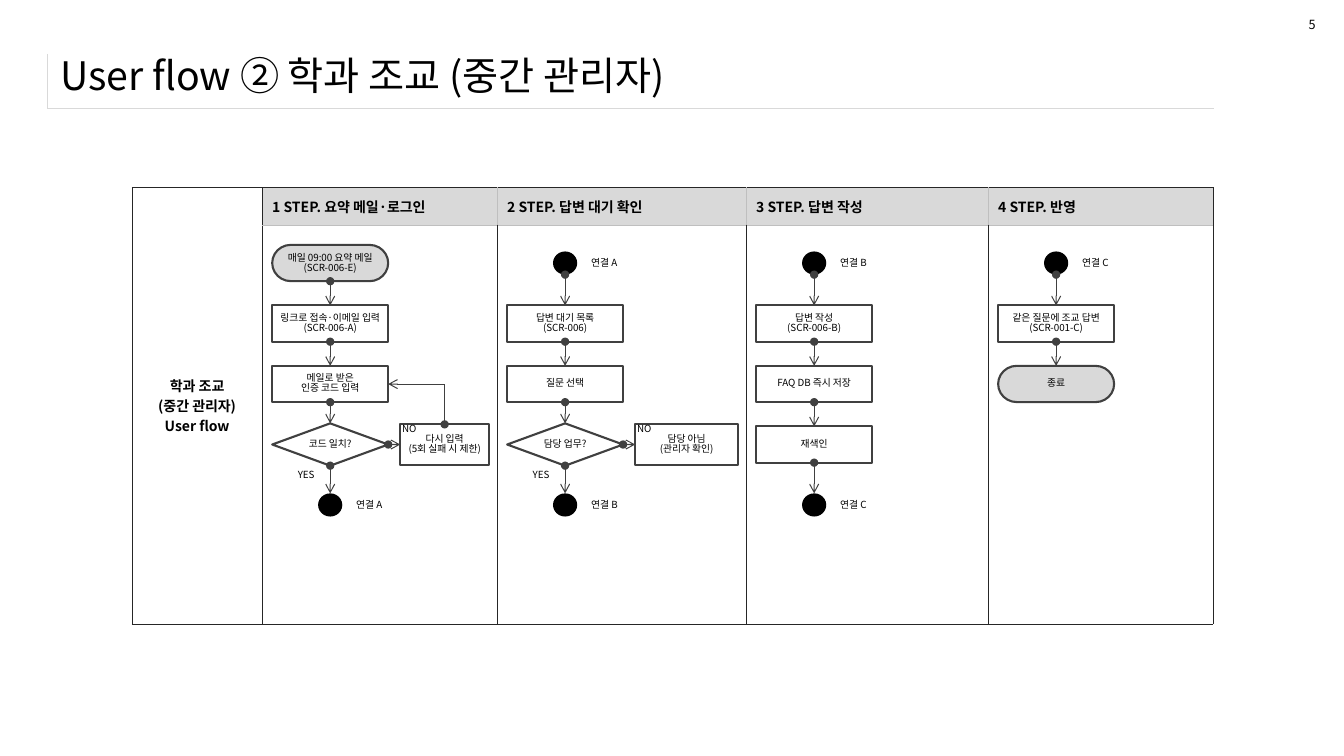
from lxml.etree import SubElement
from pptx import Presentation
from pptx.dml.color import RGBColor
from pptx.enum.shapes import MSO_CONNECTOR, MSO_SHAPE
from pptx.enum.text import MSO_ANCHOR, MSO_AUTO_SIZE, PP_ALIGN
from pptx.oxml.ns import qn
from pptx.util import Inches, Pt

FONT = "Noto Sans CJK KR"
BLACK = RGBColor(0x00, 0x00, 0x00)
WHITE = RGBColor(0xFF, 0xFF, 0xFF)
LIGHT_GRAY = RGBColor(0xD9, 0xD9, 0xD9)
BORDER_GRAY = RGBColor(0xBF, 0xBF, 0xBF)
BORDER_DARK = RGBColor(0x26, 0x26, 0x26)
OUTLINE = RGBColor(0x40, 0x40, 0x40)

TOP, LEFT, BOTTOM, RIGHT = range(4)
COLUMN_WIDTHS = [1.29, 2.33, 2.47, 2.4, 2.23]
ROW_HEIGHTS = [0.37, 3.96]
NODE_WIDTH, NODE_HEIGHT, NODE_STEP = 1.15, 0.36, 0.6
DECISION_HEIGHT = 0.42
DOT_WIDTH, DOT_HEIGHT = 0.24, 0.23

# Each lane: heading, then steps as (kind, text)
LANES = [
    ("1 STEP. 요약 메일·로그인", [
        ("terminator", "매일 09:00 요약 메일\n(SCR-006-E)"),
        ("process", "링크로 접속·이메일 입력\n(SCR-006-A)"),
        ("process", "메일로 받은\n인증 코드 입력"),
        ("decision", "코드 일치?"),
        ("dot", "연결 A")]),
    ("2 STEP. 답변 대기 확인", [
        ("dot", "연결 A"),
        ("process", "답변 대기 목록\n(SCR-006)"),
        ("process", "질문 선택"),
        ("decision", "담당 업무?"),
        ("dot", "연결 B")]),
    ("3 STEP. 답변 작성", [
        ("dot", "연결 B"),
        ("process", "답변 작성\n(SCR-006-B)"),
        ("process", "FAQ DB 즉시 저장"),
        ("process", "재색인"),
        ("dot", "연결 C")]),
    ("4 STEP. 반영", [
        ("dot", "연결 C"),
        ("process", "같은 질문에 조교 답변\n(SCR-001-C)"),
        ("terminator", "종료")]),
]
# Side branch by lane: text, width, whether it loops back to the step before
BRANCHES = {
    0: ("다시 입력\n(5회 실패 시 제한)", 0.88, True),
    1: ("담당 아님\n(관리자 확인)", 1.02, False),
}
KINDS = {
    "terminator": (MSO_SHAPE.FLOWCHART_TERMINATOR, LIGHT_GRAY, NODE_HEIGHT),
    "process": (MSO_SHAPE.FLOWCHART_PROCESS, WHITE, NODE_HEIGHT),
    "decision": (MSO_SHAPE.FLOWCHART_DECISION, WHITE, DECISION_HEIGHT),
}


def write(text_frame, text, size, bold=False, align=PP_ALIGN.LEFT, spacing=None):
    text_frame.text = text
    for paragraph in text_frame.paragraphs:
        paragraph.alignment = align
        if spacing:
            paragraph.line_spacing = spacing
        font = paragraph.font
        font.size, font.bold, font.name = Pt(size), bold, FONT
        font.color.rgb = BLACK
        properties = paragraph._p.pPr.find(qn("a:defRPr"))
        SubElement(properties, qn("a:ea"), typeface=FONT)


def add_label(slide, text, left, top, width=0.5, height=0.2, size=7):
    box = slide.shapes.add_textbox(Inches(left), Inches(top), Inches(width), Inches(height))
    box.text_frame.word_wrap = False
    box.text_frame.auto_size = MSO_AUTO_SIZE.SHAPE_TO_FIT_TEXT
    write(box.text_frame, text, size)


def add_node(slide, kind, text, left, middle, width=NODE_WIDTH, height=None):
    preset, fill, usual_height = KINDS[kind]
    height = height or usual_height
    shape = slide.shapes.add_shape(
        preset, Inches(left), Inches(middle - height / 2), Inches(width), Inches(height))
    shape.shadow.inherit = False
    shape.fill.solid()
    shape.fill.fore_color.rgb = fill
    shape.line.color.rgb = OUTLINE
    shape.line.width = Pt(1.5)
    frame = shape.text_frame
    frame.word_wrap = True
    frame.vertical_anchor = MSO_ANCHOR.MIDDLE
    frame.margin_left = frame.margin_right = Inches(0.03)
    write(frame, text, 7, align=PP_ALIGN.CENTER, spacing=0.85)
    return shape


def add_dot(slide, text, center, middle):
    top = middle - DOT_HEIGHT / 2
    dot = slide.shapes.add_shape(
        MSO_SHAPE.FLOWCHART_CONNECTOR, Inches(center - DOT_WIDTH / 2), Inches(top),
        Inches(DOT_WIDTH), Inches(DOT_HEIGHT))
    dot.shadow.inherit = False
    dot.fill.solid()
    dot.fill.fore_color.rgb = BLACK
    dot.line.fill.background()
    add_label(slide, text, center + 0.16, top)
    return dot


def add_line(slide, start, end, head=True, tail=True):
    """Each end is a point in EMU or a pair of shape and side."""
    line = slide.shapes.add_connector(MSO_CONNECTOR.STRAIGHT, 0, 0, 0, 0)
    if isinstance(start[0], int):
        line.begin_x, line.begin_y = start
    else:
        line.begin_connect(*start)
    if isinstance(end[0], int):
        line.end_x, line.end_y = end
    else:
        line.end_connect(*end)
    line.line.color.rgb = OUTLINE
    line.line.width = Pt(0.75)
    outline = line.line._get_or_add_ln()
    if head:
        SubElement(outline, qn("a:headEnd"), type="oval")
    if tail:
        SubElement(outline, qn("a:tailEnd"), type="arrow")
    SubElement(line._element.spPr, qn("a:effectLst"))


def set_borders(cell, **colors):
    properties = cell._tc.get_or_add_tcPr()
    sides = [side for side in ("L", "R", "T", "B") if side in colors]
    for position, side in enumerate(sides):
        border = properties.makeelement(qn(f"a:ln{side}"), {"w": str(Pt(0.25))})
        fill = SubElement(border, qn("a:solidFill"))
        SubElement(fill, qn("a:srgbClr"), val=str(colors[side]))
        properties.insert(position, border)


def add_grid(slide, left, top, widths, heights):
    table = slide.shapes.add_table(
        len(heights), len(widths), Inches(left), Inches(top),
        Inches(sum(widths)), Inches(sum(heights))).table
    table.first_row = table.horz_banding = False
    for column, width in zip(table.columns, widths):
        column.width = Inches(width)
    for row, height in zip(table.rows, heights):
        row.height = Inches(height)
    for cell in table.iter_cells():
        cell.fill.background()
        cell.vertical_anchor = MSO_ANCHOR.MIDDLE
    return table


def add_heading(slide, left, top):
    rule = add_grid(slide, left, top, [11.56], [0.53])
    set_borders(rule.cell(0, 0), L=LIGHT_GRAY, B=LIGHT_GRAY)
    box = slide.shapes.add_textbox(
        Inches(left + 0.03), Inches(top - 0.13), Inches(12.49), Inches(0.67))
    box.text_frame.word_wrap = True
    box.text_frame.vertical_anchor = MSO_ANCHOR.MIDDLE
    write(box.text_frame, "User flow ② 학과 조교 (중간 관리자)", 28)


def add_lane_table(slide, left, top):
    table = add_grid(slide, left, top, COLUMN_WIDTHS, ROW_HEIGHTS)
    role = table.cell(0, 0)
    role.merge(table.cell(1, 0))
    write(role.text_frame, "학과 조교\n(중간 관리자)\nUser flow", 10, True, PP_ALIGN.CENTER)
    for row in range(2):
        set_borders(table.cell(row, 0), L=BORDER_DARK, R=BORDER_DARK,
                    T=BORDER_DARK, B=BORDER_DARK)
    for column, (heading, _) in enumerate(LANES, 1):
        header = table.cell(0, column)
        header.fill.solid()
        header.fill.fore_color.rgb = LIGHT_GRAY
        write(header.text_frame, heading, 10, True)
        set_borders(header, T=BORDER_DARK, B=BORDER_GRAY,
                    L=BORDER_DARK if column == 1 else BORDER_GRAY,
                    R=BORDER_DARK if column == len(LANES) else BORDER_GRAY)
        set_borders(table.cell(1, column), L=BORDER_DARK, R=BORDER_DARK,
                    T=BORDER_GRAY, B=BORDER_DARK)


def add_branch(slide, decision, previous, right, middle, text, width, loops):
    side = add_node(slide, "process", text, right + 0.12, middle, width, 0.4)
    add_line(slide, (decision, RIGHT), (side, LEFT))
    add_label(slide, "NO", right + 0.04, middle - 0.27)
    if loops:
        corner = (side.left + side.width // 2, previous.top + previous.height // 2)
        add_line(slide, (side, TOP), corner, tail=False)
        add_line(slide, corner, (previous, RIGHT), head=False)


def add_lane(slide, left, top, steps, branch):
    node_left = left + 0.1
    center = node_left + NODE_WIDTH / 2
    previous = start = None
    for row, (kind, text) in enumerate(steps):
        middle = top + 0.38 + row * NODE_STEP
        if kind == "dot":
            shape = add_dot(slide, text, center, middle)
        else:
            shape = add_node(slide, kind, text, node_left, middle)
        if previous:
            add_line(slide, start, (shape, TOP))
        if kind == "decision":
            add_label(slide, "YES", center - 0.42, middle + 0.19)
            add_branch(slide, shape, previous, node_left + NODE_WIDTH, middle, *branch)
        # A round dot has its bottom at another site, so its line starts at a point
        bottom = (shape.left + shape.width // 2, shape.top + shape.height)
        start = bottom if kind == "dot" else (shape, BOTTOM)
        previous = shape


def main():
    presentation = Presentation()
    presentation.slide_width, presentation.slide_height = Inches(13.33), Inches(7.5)
    slide = presentation.slides.add_slide(presentation.slide_layouts[6])
    add_heading(slide, 0.47, 0.54)
    add_label(slide, "5", 12.88, 0.12, 0.27, 0.25, 9)
    left, top = 1.31, 1.86
    add_lane_table(slide, left, top)
    for lane, (_, steps) in enumerate(LANES):
        lane_left = left + sum(COLUMN_WIDTHS[:lane + 1])
        add_lane(slide, lane_left, top + ROW_HEIGHTS[0], steps, BRANCHES.get(lane))
    presentation.save("out.pptx")


if __name__ == "__main__":
    main()
